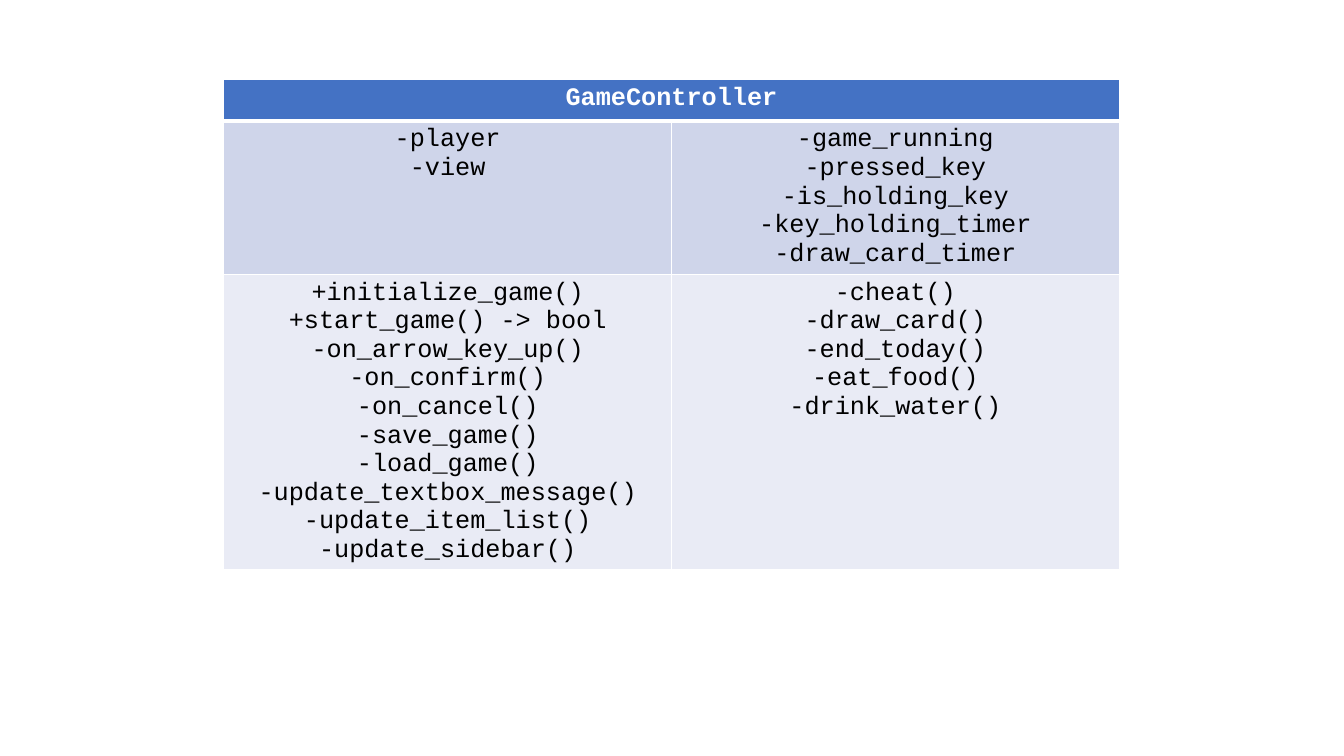
from lxml.etree import SubElement
from pptx import Presentation
from pptx.dml.color import RGBColor
from pptx.enum.text import PP_ALIGN
from pptx.oxml.ns import qn
from pptx.util import Inches, Pt

FONT = "Courier New"
WHITE = RGBColor(0xFF, 0xFF, 0xFF)
BLACK = RGBColor(0x00, 0x00, 0x00)
BLUE = RGBColor(0x44, 0x72, 0xC4)
MID = RGBColor(0xCF, 0xD5, 0xEA)
PALE = RGBColor(0xE9, 0xEB, 0xF5)

FIELDS = (
    ["-player", "-view"],
    ["-game_running", "-pressed_key", "-is_holding_key",
     "-key_holding_timer", "-draw_card_timer"],
)
METHODS = (
    ["+initialize_game()", "+start_game() -> bool", "-on_arrow_key_up()",
     "-on_confirm()", "-on_cancel()", "-save_game()", "-load_game()",
     "-update_textbox_message()", "-update_item_list()",
     "-update_sidebar()"],
    ["-cheat()", "-draw_card()", "-end_today()", "-eat_food()",
     "-drink_water()"],
)


def add_edges(cell, top, bottom):
    """Give the cell white borders; top and bottom are widths in points."""
    props = cell._tc.get_or_add_tcPr()
    edges = (("a:lnL", 1), ("a:lnR", 1), ("a:lnT", top), ("a:lnB", bottom))
    for spot, (tag, width) in enumerate(edges):
        line = SubElement(props, qn(tag), w=str(Pt(width)))
        fill = SubElement(line, qn("a:solidFill"))
        SubElement(fill, qn("a:srgbClr"), val=str(WHITE))
        props.insert(spot, line)


def fill_cell(cell, lines, fill, color, bold=False):
    cell.fill.solid()
    cell.fill.fore_color.rgb = fill
    frame = cell.text_frame
    frame.text = "\n".join(lines)
    for para in frame.paragraphs:
        para.alignment = PP_ALIGN.CENTER
        for run in para.runs:
            run.font.name = FONT
            run.font.size = Pt(18)
            run.font.bold = bold
            run.font.color.rgb = color


def add_class(slide, name, fields, methods):
    """Draw a class as a table of its name, fields and methods."""
    frame = slide.shapes.add_table(
        3, 2, Inches(2.22), Inches(0.79), Inches(8.88), Inches(4.85))
    table = frame.table
    for row, height in zip(table.rows, (0.41, 1.52, 2.92)):
        row.height = Inches(height)

    head = table.cell(0, 0)
    head.merge(table.cell(0, 1))
    fill_cell(head, [name], BLUE, WHITE, bold=True)
    for row, (parts, fill) in enumerate(((fields, MID), (methods, PALE)), 1):
        for col, lines in enumerate(parts):
            fill_cell(table.cell(row, col), lines, fill, BLACK)

    for row, (top, bottom) in enumerate(((1, 3), (3, 1), (1, 1))):
        for col in range(2):
            add_edges(table.cell(row, col), top, bottom)


def main():
    deck = Presentation()
    deck.slide_width = Inches(13.33)
    deck.slide_height = Inches(7.5)
    slide = deck.slides.add_slide(deck.slide_layouts[6])
    add_class(slide, "GameController", FIELDS, METHODS)
    deck.save("out.pptx")


if __name__ == "__main__":
    main()
